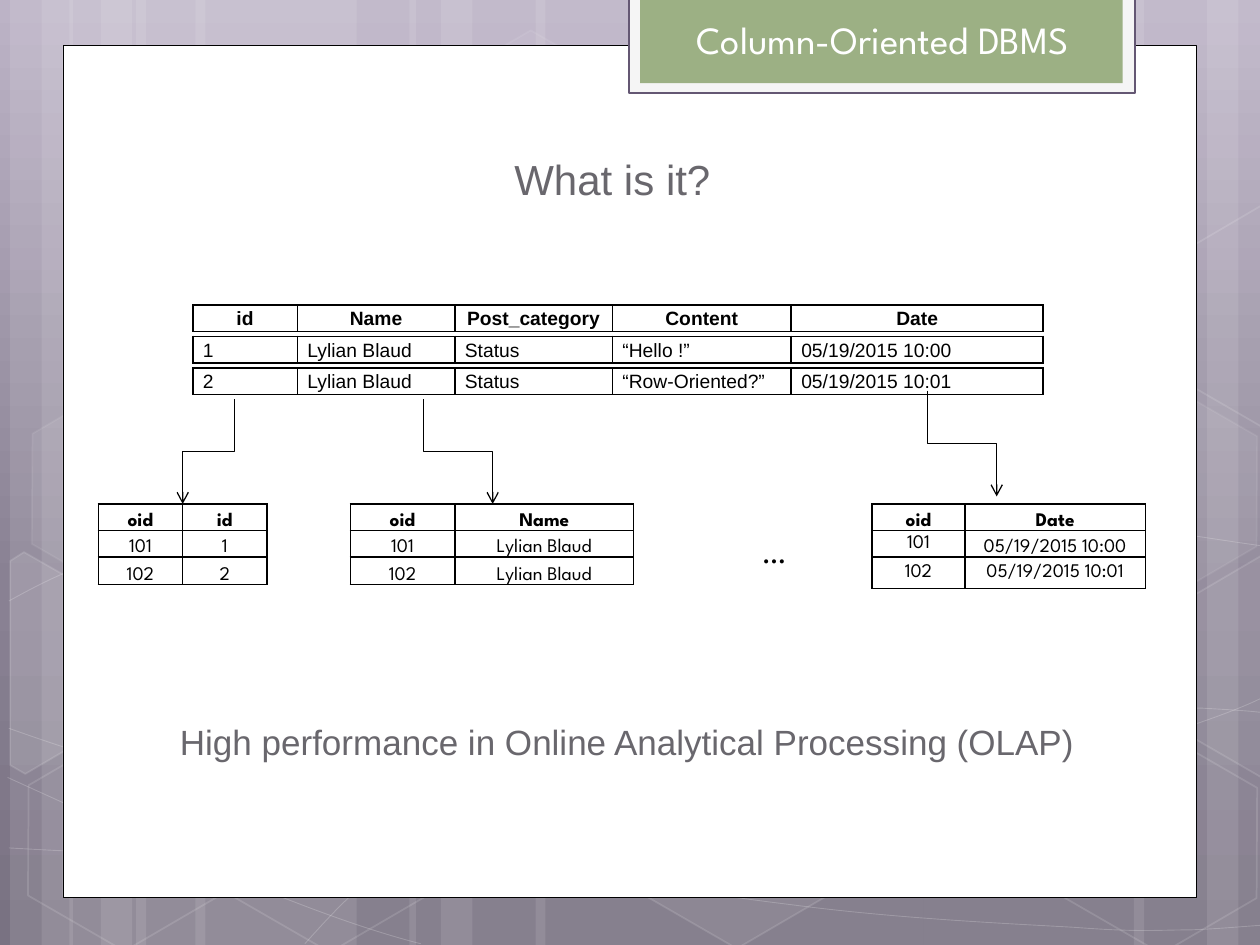
from copy import deepcopy
from dataclasses import dataclass
from math import cos, radians, sin
from typing import Optional

from lxml.etree import SubElement
from pptx import Presentation
from pptx.dml.color import RGBColor
from pptx.enum.shapes import MSO_CONNECTOR, MSO_SHAPE
from pptx.enum.text import MSO_ANCHOR, PP_ALIGN
from pptx.oxml.ns import qn
from pptx.util import Cm, Pt

WHITE, BLACK, GRAY = "FFFFFF", "000000", "69676D"
SANS, SPARTAN = "Arial", "League Spartan"
TOP, MID, LOW = MSO_ANCHOR.TOP, MSO_ANCHOR.MIDDLE, MSO_ANCHOR.BOTTOM
LEFT, CENTER = PP_ALIGN.LEFT, PP_ALIGN.CENTER
TILT = 30


@dataclass
class Hexagon:
    left: float
    top: float
    fill_alpha: int
    line_alpha: int


@dataclass
class Label:
    text: str
    box: tuple
    size: int
    font: str
    color: str
    align: PP_ALIGN = LEFT
    anchor: MSO_ANCHOR = TOP
    before: float = 0


@dataclass
class Grid:
    left: float
    top: float
    height: float
    cols: list
    rows: list
    cells: list
    font: str
    header: bool
    align: PP_ALIGN
    anchor: MSO_ANCHOR
    margins: tuple          # left, top, right, bottom
    spacing: float = 1.0
    centred: tuple = ()     # cells with text at mid height


def grid_len(v: float) -> Cm:
    """The layout grid is 2.54 cm wide."""
    return Cm(v * 2.54)


def rgb(color: str) -> RGBColor:
    return RGBColor.from_string(color)


def set_all(obj, fmt: dict) -> None:
    for name, value in fmt.items():
        setattr(obj, name, value)


def paint(sp, fill: Optional[str], line: Optional[str] = None, width: float = 1,
          fill_alpha: int = 100, line_alpha: int = 100) -> None:
    sp.shadow.inherit = False
    for fmt, color in ((sp.fill, fill), (sp.line.fill, line)):
        if color:
            fmt.solid()
            fmt.fore_color.rgb = rgb(color)
        else:
            fmt.background()
    if line:
        sp.line.width = Pt(width)
    for where, alpha in (("./a:solidFill/a:srgbClr", fill_alpha),
                         ("./a:ln/a:solidFill/a:srgbClr", line_alpha)):
        for clr in sp._element.spPr.xpath(where):
            if alpha < 100:
                SubElement(clr, qn("a:alpha"), val=str(alpha * 1000))


def add_preset(s, kind, box: tuple, *args, **kwargs):
    sp = s.shapes.add_shape(kind, *map(grid_len, box))
    paint(sp, *args, **kwargs)
    return sp


def add_outline(s, points: list, close: bool, *args, **kwargs):
    pts = [(grid_len(x), grid_len(y)) for x, y in points]
    builder = s.shapes.build_freeform(*pts[0])
    builder.add_line_segments(pts[1:], close=close)
    sp = builder.convert_to_shape()
    paint(sp, *args, **kwargs)
    return sp


def add_curve(s, points: list) -> None:
    """Cubic curves: a start, then three points for each."""
    sp = add_outline(s, points, False, None, WHITE, 0.5, line_alpha=20)
    segments = sp._element.xpath(".//a:lnTo")
    for i in range(0, len(segments), 3):
        first, *others = segments[i:i + 3]
        first.tag = qn("a:cubicBezTo")
        for seg in others:
            first.append(seg[0])
            seg.getparent().remove(seg)


def tilt_back(points: list, cx: float, cy: float) -> list:
    c, n = cos(radians(TILT)), sin(radians(TILT))
    return [(cx + (x - cx) * c + (y - cy) * n, cy - (x - cx) * n + (y - cy) * c)
            for x, y in points]


def add_label(s, label: Label) -> None:
    tf = s.shapes.add_textbox(*map(grid_len, label.box)).text_frame
    set_all(tf, {"word_wrap": True, "vertical_anchor": label.anchor})
    p = tf.paragraphs[0]
    set_all(p, {"alignment": label.align, "space_before": Pt(label.before)})
    r = p.add_run()
    r.text = label.text
    set_all(r.font, {"size": Pt(label.size), "name": label.font})
    r.font.color.rgb = rgb(label.color)


def add_grid(s, g: Grid) -> None:
    box = (g.left, g.top, sum(g.cols), g.height)
    table = s.shapes.add_table(len(g.rows), len(g.cols), *map(grid_len, box)).table
    set_all(table, {"first_row": False, "horz_banding": False})
    for col, w in zip(table.columns, g.cols):
        col.width = grid_len(w)
    for row, h in zip(table.rows, g.rows):
        row.height = grid_len(h)
    names = ("margin_left", "margin_top", "margin_right", "margin_bottom")
    for i, texts in enumerate(g.cells):
        for j, text in enumerate(texts):
            cell = table.cell(i, j)
            set_all(cell, dict(zip(names, map(grid_len, g.margins))))
            cell.vertical_anchor = MID if (i, j) in g.centred else g.anchor
            for side in ("lnL", "lnR", "lnT", "lnB"):
                ln = SubElement(cell._tc.get_or_add_tcPr(), qn(f"a:{side}"), w=str(Pt(1)))
                SubElement(SubElement(ln, qn("a:solidFill")), qn("a:srgbClr"), val=BLACK)
            cell.fill.solid()
            cell.fill.fore_color.rgb = rgb(WHITE)
            p = cell.text_frame.paragraphs[0]
            set_all(p, {"alignment": g.align, "line_spacing": g.spacing})
            r = p.add_run()
            r.text = text
            set_all(r.font, {"size": Pt(11), "name": g.font, "bold": g.header and i == 0})
            r.font.color.rgb = rgb(BLACK)


def add_elbow(s, x1: float, y1: float, x2: float, y2: float) -> None:
    """Arrow that leaves downwards: a level elbow turned by a quarter."""
    cx, cy, half_l, half_w = (x1 + x2) / 2, (y1 + y2) / 2, (y2 - y1) / 2, abs(x2 - x1) / 2
    turn = 1 if x2 < x1 else -1
    ends = (cx - turn * half_l, cy - half_w, cx + turn * half_l, cy + half_w)
    cn = s.shapes.add_connector(MSO_CONNECTOR.ELBOW, *map(grid_len, ends))
    cn.line.width = Pt(0.75)
    cn.line.color.rgb = rgb(BLACK)
    sp_pr = cn._element.spPr
    sp_pr.xfrm.set("rot", str(turn * 90 % 360 * 60000))
    SubElement(sp_pr.find(qn("a:ln")), qn("a:tailEnd"), type="arrow")
    SubElement(sp_pr, qn("a:effectLst"))


prs = Presentation()
set_all(prs, {"slide_width": Cm(25.4), "slide_height": Cm(19.05)})
s = prs.slides.add_slide(prs.slide_layouts[6])

# Background gradient
fill = s.background.fill
fill.gradient()
fill.gradient_angle = 270
first_stop = s._element.xpath(".//p:bg//a:gs")[0]
first_stop.addnext(deepcopy(first_stop))
for stop, (pos, color) in zip(fill.gradient_stops,
                              ((0, "BCB3C6"), (0.62, "898193"), (1, "797282"))):
    stop.position = pos
    stop.color.rgb = rgb(color)

# Pale vertical bars
for left, width in ((1.08, 1.75), (0.08, 0.5), (0.33, 0.83), (1.55, 1.75), (0.55, 0.5),
                    (0.8, 0.83), (7.33, 1.75), (9.58, 0.5), (9, 0.83), (4.25, 3.08),
                    (3.25, 0.5), (3.5, 0.83)):
    add_preset(s, MSO_SHAPE.RECTANGLE, (left, 0, width, 7.5), WHITE, fill_alpha=10)

# Thin curves
for curve in (
    [(0.07, 6.73), (0.61, 6.76), (1.15, 6.79), (1.9, 6.78), (2.65, 6.77), (3.58, 6.75),
     (4.58, 6.65), (5.58, 6.55), (7, 6.36), (7.92, 6.17), (8.83, 5.98), (9.77, 5.68), (10.07, 5.51)],
    [(0.07, 4.77), (0.36, 4.61), (0.65, 4.46), (1.21, 4.31), (1.78, 4.16), (2.59, 3.94),
     (3.47, 3.87), (4.36, 3.8), (5.44, 3.79), (6.54, 3.87), (7.64, 3.95), (9.47, 4.26), (10.07, 4.34)],
    [(0.06, 6.17), (1.27, 6.72), (2.47, 7.27), (3.34, 7.49)],
    [(0.07, 5.78), (0.38, 5.89), (0.7, 6), (1.28, 6.16), (1.86, 6.31), (2.73, 6.56),
     (3.57, 6.73), (4.4, 6.9), (5.45, 7.08), (6.28, 7.18), (7.11, 7.29), (8, 7.33), (8.53, 7.36),
     (9.05, 7.4), (9.19, 7.38), (9.45, 7.38), (9.71, 7.37), (9.89, 7.35), (10.07, 7.34)],
    [(2.42, 7.49), (2.6, 7.29), (2.78, 7.09), (3.02, 6.91), (3.26, 6.73), (3.6, 6.53),
     (3.88, 6.39), (4.16, 6.25), (4.33, 6.19), (4.7, 6.09), (5.06, 5.99), (5.73, 5.85),
     (6.08, 5.78), (6.44, 5.71), (6.49, 5.71), (6.8, 5.69), (7.11, 5.66), (7.6, 5.63),
     (7.94, 5.62), (8.29, 5.61), (8.86, 5.62), (8.86, 5.62), (8.86, 5.62), (9.53, 5.62),
     (9.53, 5.62), (9.71, 5.63), (9.88, 5.64), (9.97, 5.65), (10.06, 5.66), (10.03, 5.65),
     (10.06, 5.66)],
):
    add_curve(s, curve)

# Hexagons, whole and cut by the slide edge
for h in (Hexagon(3.34, 0.36, 4, 8), Hexagon(4.97, 5.89, 6, 12), Hexagon(0.11, 5.91, 0, 12),
          Hexagon(0.14, 3.12, 7, 8), Hexagon(1.74, 5.92, 0, 12), Hexagon(7.53, 4.53, 10, 12),
          Hexagon(8.34, 5.93, 0, 12), Hexagon(8.34, 3.14, 7, 8)):
    sp = add_preset(s, MSO_SHAPE.HEXAGON, (h.left, h.top, 1.75, 1.52),
                    WHITE if h.fill_alpha else None, WHITE, 1, h.fill_alpha, h.line_alpha)
    sp.rotation = TILT
    sp.adjustments[0] = 0.285
for alpha, centre, points in (
    (10, (0.36, 5.35),
     [(0.08, 4.45), (0.19, 4.38), (0.96, 4.82), (0.95, 5.7), (0.2, 6.14), (0.08, 6.07)]),
    (4, (9.85, 5.2),
     [(9.26, 4.85), (10.01, 4.41), (10.09, 4.46), (10.09, 6.13), (10.02, 6.17), (9.26, 5.73)]),
    (0, (9.85, 2.41),
     [(9.26, 2.07), (10.01, 1.63), (10.1, 1.68), (10.09, 3.35), (10.02, 3.39), (9.26, 2.95)]),
):
    sp = add_outline(s, tilt_back(points, *centre), True, WHITE if alpha else None, WHITE, 1, alpha, 12)
    sp.rotation = TILT

# White panel and title tab
for box, *look in (((0.5, 0.36, 9, 6.76), WHITE, BLACK, 0.5),
                   ((4.99, -0.02, 4.02, 0.76), "F5F5F5", "645773", 1.25),
                   ((5.08, -0.02, 3.83, 0.68), "9CB084")):
    add_preset(s, MSO_SHAPE.RECTANGLE, box, *look)

# Texts
for label in (
    Label("Column-Oriented DBMS", (4.92, 0, 4.17, 0.54), 22, SPARTAN, WHITE, CENTER, LOW),
    Label("What is it?", (1.05, 1.17, 7.62, 0.75), 24, SANS, GRAY, CENTER, before=4.8),
    Label("…", (5.95, 4.17, 0.58, 0.4), 18, SPARTAN, BLACK),
    Label("High performance in Online Analytical Processing (OLAP)",
          (1.33, 5.67, 7.3, 0.44), 20, SANS, GRAY),
):
    add_label(s, label)

# Row store: every record is a table of its own
records = (["id", "Name", "Post_category", "Content", "Date"],
           ["1", "Lylian Blaud", "Status", "“Hello !”", "05/19/2015 10:00"],
           ["2", "Lylian Blaud", "Status", "“Row-Oriented?”", "05/19/2015 10:01"])
for i, record in enumerate(records):
    add_grid(s, Grid(1.53, 2.42 + 0.25 * i, 0.21, [0.83, 1.25, 1.25, 1.42, 2], [0], [record], SANS,
                     i == 0, LEFT if i else CENTER, TOP, (0.08, 0, 0.08, 0), 1.15))

# Column store: one table per attribute
for left, cols, last, field, centred in ((0.78, [0.67, 0.67], 0.22, 0, ()),
                                         (2.78, [0.83, 1.42], 0.22, 1, ()),
                                         (6.92, [0.74, 1.43], 0.25, 4, ((1, 0), (2, 0), (2, 1)))):
    cells = [[oid, rec[field]] for oid, rec in zip(("oid", "101", "102"), records)]
    add_grid(s, Grid(left, 4, 0.42 + last, cols, [0.21, 0.21, last], cells, SPARTAN, True, CENTER,
                     LOW, (0.01, 0.01, 0.01, 0), centred=centred))

# Arrows from the row store to the column store
for ends in ((1.86, 3.17, 1.45, 4), (3.36, 3.17, 3.91, 4), (7.36, 3.1, 7.91, 3.94)):
    add_elbow(s, *ends)

prs.save("out.pptx")
